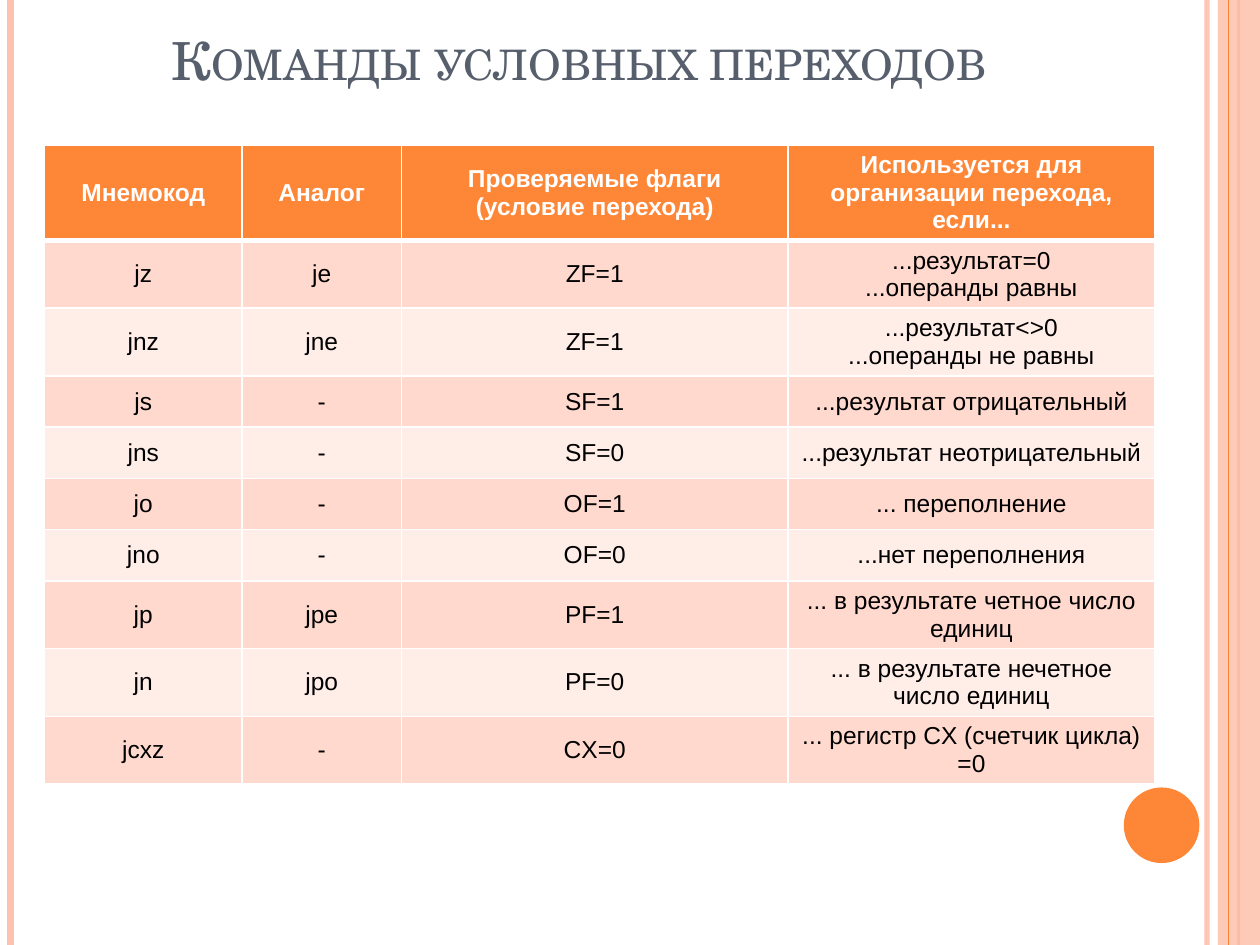
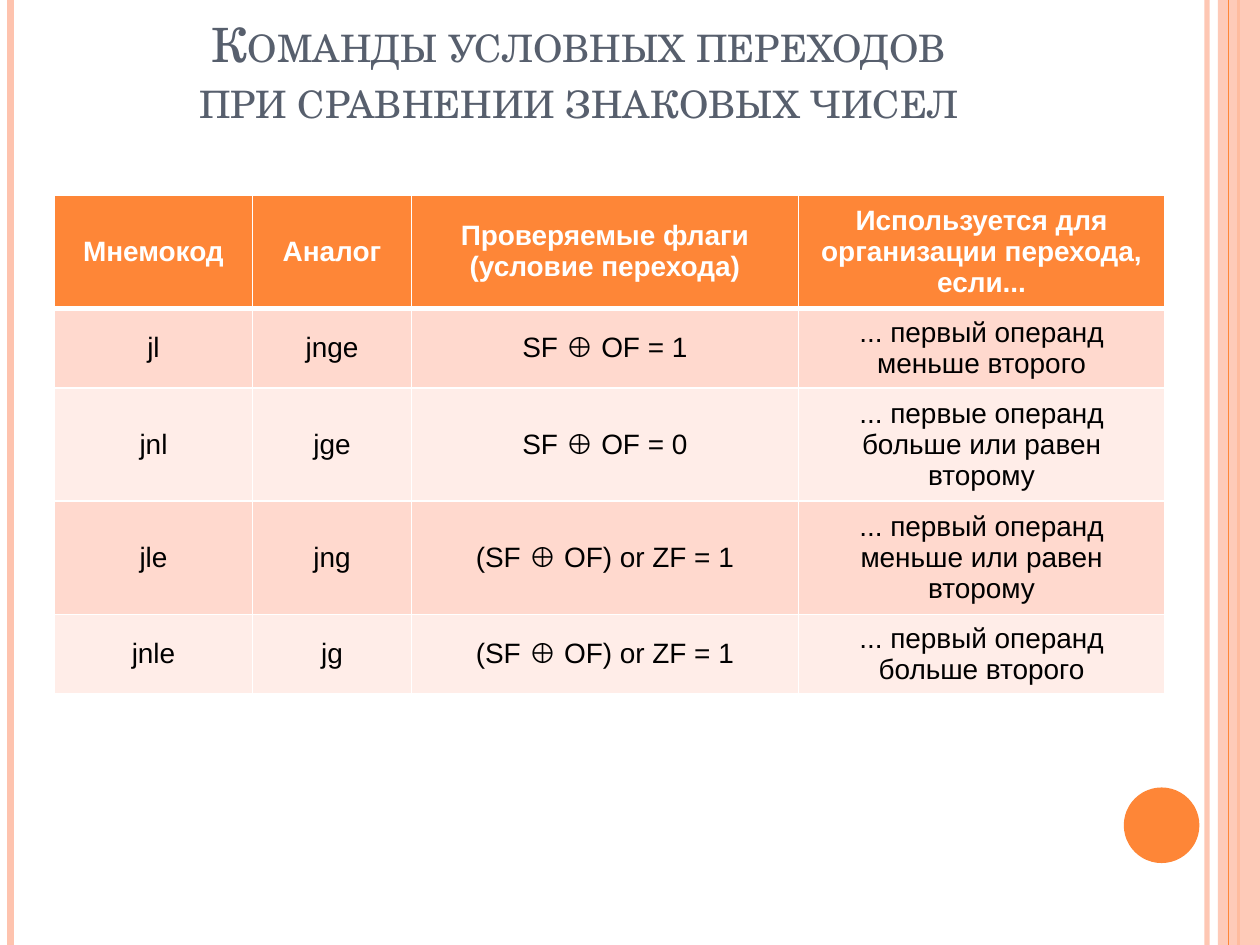
from copy import deepcopy

from lxml import etree
from pptx import Presentation
from pptx.dml.color import RGBColor
from pptx.enum.shapes import MSO_CONNECTOR, MSO_SHAPE
from pptx.enum.text import MSO_ANCHOR, MSO_AUTO_SIZE, PP_ALIGN
from pptx.oxml.ns import qn
from pptx.util import Pt

STRAIGHT = MSO_CONNECTOR.STRAIGHT
RECTANGLE, OVAL = MSO_SHAPE.RECTANGLE, MSO_SHAPE.OVAL
MIDDLE, BOTTOM = MSO_ANCHOR.MIDDLE, MSO_ANCHOR.BOTTOM
CENTER = PP_ALIGN.CENTER
NO_AUTOFIT = MSO_AUTO_SIZE.NONE

COLORS = {
    "orange": "FE8637",
    "peach": "FEC3AE",
    "band_dark": "FFD9CE",
    "band_light": "FFEDE8",
    "title": "575F6D",
    "white": "FFFFFF",
    "black": "000000",
}
TITLE_FONT, TABLE_FONT = "TeX Gyre Schola", "Arial"
WIDTH, HEIGHT = 720, 540
COLUMN_WIDTHS = [113, 91, 221, 209.5]
HEADER = ["Мнемокод", "Аналог", "Проверяемые флаги (условие перехода)",
          "Используется для организации перехода, если..."]

PAGES = [
    {
        "title": "Команды условных переходов",
        "title_size": 30, "title_top": 0, "title_height": 55.4,
        "left": 25.4, "top": 83, "size": 14,
        "heights": [53.8] + [38.6] * 2 + [29.3] * 4 + [38.6] * 3,
        "rows": [
            ["jz", "je", "ZF=1", "...результат=0\n...операнды равны"],
            ["jnz", "jne", "ZF=1", "...результат<>0\n...операнды не равны"],
            ["js", "-", "SF=1", "...результат отрицательный"],
            ["jns", "-", "SF=0", "...результат неотрицательный"],
            ["jo", "-", "OF=1", "... переполнение"],
            ["jno", "-", "OF=0", "...нет переполнения"],
            ["jp", "jpe", "PF=1", "... в результате четное число единиц"],
            ["jn", "jpo", "PF=0", "... в результате нечетное число единиц"],
            ["jcxz", "-", "CX=0", "... регистр CX (счетчик цикла) =0"],
        ],
    },
    {
        "title": "Команды условных переходов\vпри сравнении знаковых чисел",
        "title_size": 27, "title_top": 9.4, "title_height": 67.6,
        "left": 31.2, "top": 111.4, "size": 16,
        "heights": [64.8, 45.4, 64.8, 64.8, 45.4],
        "rows": [
            ["jl", "jnge", "SF ⊕ OF = 1", "... первый операнд меньше второго"],
            ["jnl", "jge", "SF ⊕ OF = 0",
             "... первые операнд больше или равен второму"],
            ["jle", "jng", "(SF ⊕ OF) or ZF = 1",
             "... первый операнд меньше или равен второму"],
            ["jnle", "jg", "(SF ⊕ OF) or ZF = 1",
             "... первый операнд больше второго"],
        ],
    },
]


def write_text(frame, text, *, size, font, color, bold=False, small_caps=False):
    """Fill a frame with centred paragraphs, one per line of text."""
    frame.text = text
    for para in frame.paragraphs:
        para.alignment = CENTER
        for span in para.runs:
            span.font.size, span.font.name, span.font.bold = Pt(size), font, bold
            span.font.color.rgb = RGBColor.from_string(COLORS[color])
            if small_caps:
                span.font._element.set("cap", "small")
        for line_break in para._p.findall(qn("a:br")):
            line_break.append(deepcopy(para.runs[0].font._element))


def paint(fill, color, alpha=100):
    """Give a fill a solid colour, with opacity in percent."""
    fill.solid()
    fill.fore_color.rgb = RGBColor.from_string(COLORS[color])
    if alpha < 100:
        tint = fill._xPr.find(f"{qn('a:solidFill')}/{qn('a:srgbClr')}")
        etree.SubElement(tint, qn("a:alpha"), val=str(alpha * 1000))


deck = Presentation()
deck.slide_width, deck.slide_height = Pt(WIDTH), Pt(HEIGHT)
layout = deck.slide_layouts[5]
slides = [deck.slides.add_slide(layout) for _ in PAGES]

# Shared decoration: drawn on the first slide, then moved to the layout
canvas = slides[0].shapes
decoration = []
for kind, *parts in [
    ("rule", 689.8, 3, "peach", 93),
    ("rule", 6, 4.5, "peach", 100),
    ("rule", 707.8, 1.5, "orange", 100),
    ("shape", RECTANGLE, (696, 0, 24, HEIGHT), "peach", 87),
    ("rule", 702, 0.75, "orange", 100),
    ("shape", OVAL, (642.2, 450, 43.2, 43.2), "orange", 100),
]:
    if kind == "rule":
        x, weight, color, alpha = parts
        item = canvas.add_connector(STRAIGHT, Pt(x), 0, Pt(x), Pt(HEIGHT))
        item.line.width = Pt(weight)
        paint(item.line.fill, color, alpha)
        etree.SubElement(item._element.spPr, qn("a:effectLst"))
    else:
        preset, place, color, alpha = parts
        item = canvas.add_shape(preset, *map(Pt, place))
        item.shadow.inherit = False
        paint(item.fill, color, alpha)
        item.line.fill.background()
    decoration.append(item._element)
for element in decoration:
    layout.shapes.element.append(element)

for slide, page in zip(slides, PAGES):
    title = slide.shapes.title
    title.left, title.top = Pt(36.7), Pt(page["title_top"])
    title.width, title.height = Pt(588.2), Pt(page["title_height"])
    title.text_frame.auto_size = NO_AUTOFIT
    title.text_frame.vertical_anchor = BOTTOM
    write_text(title.text_frame, page["title"], size=page["title_size"],
               font=TITLE_FONT, color="title", small_caps=True)

    rows = [HEADER] + page["rows"]
    table = slide.shapes.add_table(
        len(rows), len(HEADER), Pt(page["left"]), Pt(page["top"]),
        Pt(sum(COLUMN_WIDTHS)), Pt(sum(page["heights"]))).table
    for column, width in zip(table.columns, COLUMN_WIDTHS):
        column.width = Pt(width)
    for r, (words, height) in enumerate(zip(rows, page["heights"])):
        table.rows[r].height = Pt(height)
        is_header = r == 0
        fill_color = "orange" if is_header else ("band_light", "band_dark")[r % 2]
        for c, text in enumerate(words):
            cell = table.cell(r, c)
            cell.vertical_anchor = MIDDLE
            for side in "LRTB":
                thick = (is_header and side == "B") or (r == 1 and side == "T")
                border = etree.SubElement(
                    cell._tc.get_or_add_tcPr(), qn(f"a:ln{side}"),
                    w=str(Pt(3 if thick else 1)))
                solid = etree.SubElement(border, qn("a:solidFill"))
                etree.SubElement(solid, qn("a:srgbClr"), val=COLORS["white"])
            paint(cell.fill, fill_color)
            write_text(cell.text_frame, text, size=page["size"], font=TABLE_FONT,
                       color="white" if is_header else "black", bold=is_header)

deck.save("out.pptx")
